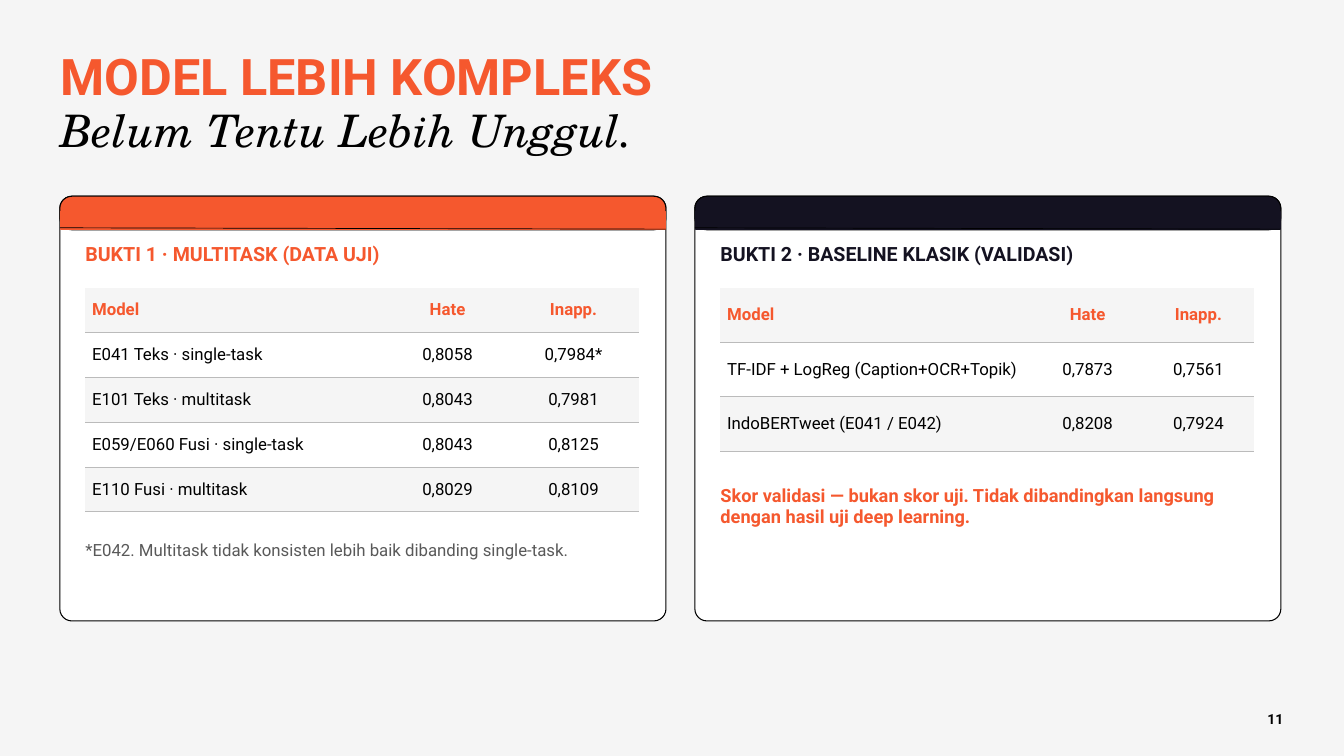
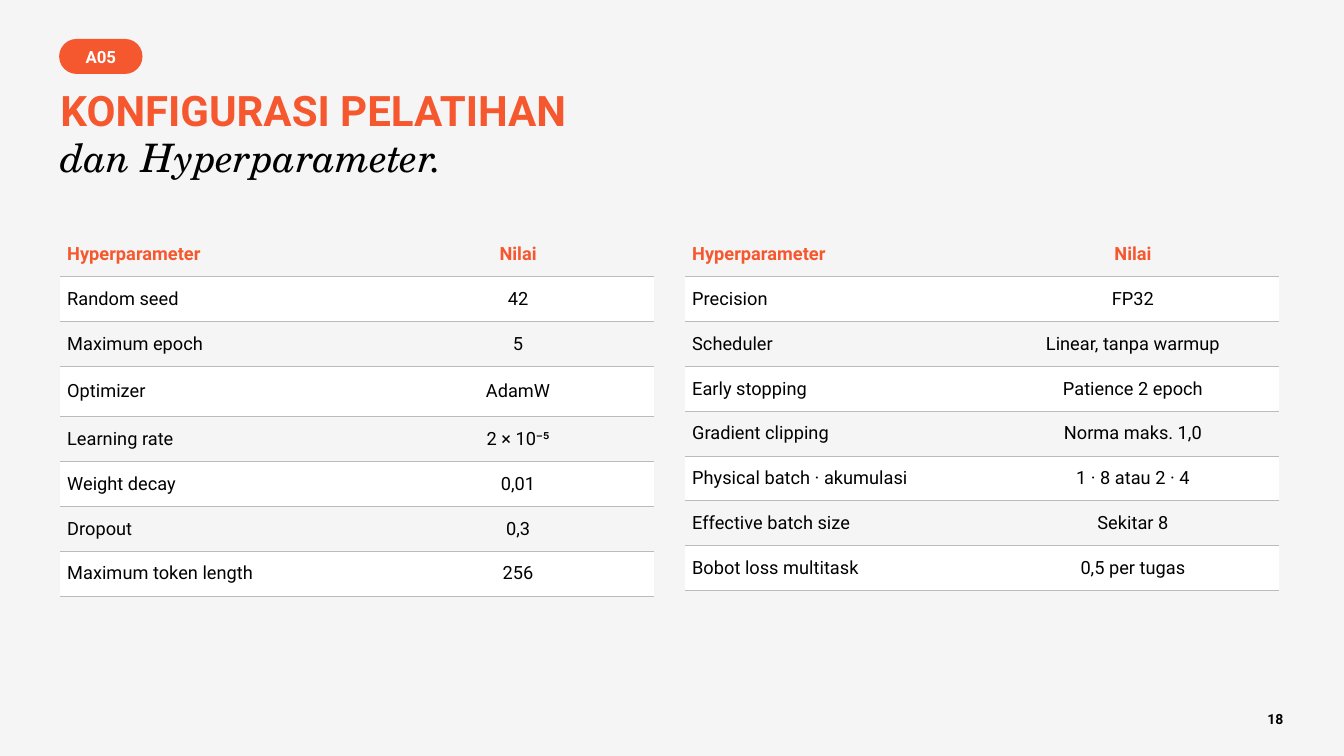
from lxml import etree
from pptx import Presentation
from pptx.dml.color import RGBColor
from pptx.enum.shapes import MSO_CONNECTOR, MSO_SHAPE
from pptx.enum.text import MSO_ANCHOR, MSO_AUTO_SIZE, PP_ALIGN
from pptx.oxml.ns import qn
from pptx.util import Emu, Inches, Pt

LEFT, MID, RIGHT = PP_ALIGN.LEFT, PP_ALIGN.CENTER, PP_ALIGN.RIGHT
TOP, MIDDLE = MSO_ANCHOR.TOP, MSO_ANCHOR.MIDDLE
FIXED = MSO_AUTO_SIZE.NONE
ROUND, RECT = MSO_SHAPE.ROUNDED_RECTANGLE, MSO_SHAPE.RECTANGLE
LINE = MSO_CONNECTOR.STRAIGHT

HUES = {
    "page": "F5F5F5",
    "card": "FFFFFF",
    "accent": "F5582E",
    "dark": "141221",
    "ink": "000000",
    "note": "595959",
    "rule": "BBBBBB",
}
SANS, SERIF = "Roboto", "TeX Gyre Schola"
COLS, ROWS = 20, 11.25
EDGE = 0.9
ROW = 2 / 3


def hue(name):
    return RGBColor.from_string(HUES[name])


class Deck:
    def __init__(self):
        self.show = Presentation()
        self.show.slide_width = Inches(COLS)
        self.show.slide_height = Inches(ROWS)
        self.unit = self.show.slide_width / COLS
        back = self.show.slide_master.background.fill
        back.solid()
        back.fore_color.rgb = hue("page")
        self.slide = None

    def grid(self, *spans):
        return [Emu(round(span * self.unit)) for span in spans]

    def page(self, number):
        self.slide = self.show.slides.add_slide(self.show.slide_layouts[5])
        self.text((17.85, 10.58, 1.25, 0.34), number, 15, "ink", True, RIGHT)

    def label(self, para, words, size, color, bold=False, align=LEFT,
              lead=1.2, font=SANS, slant=False):
        para.alignment = align
        para.line_spacing = Pt(round(size * lead, 1))
        run = para.add_run()
        run.text = words
        face = run.font
        face.name, face.size = font, Pt(size)
        face.bold, face.italic = bold, slant
        face.color.rgb = hue(color)

    def frame(self, shape, anchor=TOP):
        frame = shape.text_frame
        frame.word_wrap = True
        frame.auto_size = FIXED
        frame.vertical_anchor = anchor
        frame.margin_left = frame.margin_right = 0
        frame.margin_top = frame.margin_bottom = 0
        return frame

    def title(self, top, height, head, tail, size, small):
        shape = self.slide.shapes.title
        shape.left, shape.top, shape.width, shape.height = self.grid(
            EDGE, top, 18.15, height)
        frame = self.frame(shape)
        self.label(frame.paragraphs[0], head, size, "accent", True, lead=1.14)
        self.label(frame.add_paragraph(), tail, small, "ink", lead=1.14,
                   font=SERIF, slant=True)

    def text(self, box, words, size, color, bold=False, align=LEFT):
        shape = self.slide.shapes.add_textbox(*self.grid(*box))
        self.label(self.frame(shape).paragraphs[0], words, size, color,
                   bold, align)

    def block(self, kind, box, fill, edge, width, curve=0):
        shape = self.slide.shapes.add_shape(kind, *self.grid(*box))
        shape.shadow.inherit = False
        shape.fill.solid()
        shape.fill.fore_color.rgb = hue(fill)
        shape.line.color.rgb = hue(edge)
        shape.line.width = Pt(width)
        if curve:
            shape.adjustments[0] = curve / min(box[2:])
        return shape

    def badge(self, box, words):
        shape = self.block(ROUND, box, "accent", "accent", 1.5, box[3] / 2)
        self.label(self.frame(shape, MIDDLE).paragraphs[0], words, 18,
                   "card", True, MID)

    def rule(self, left, top, right, base):
        line = self.slide.shapes.add_connector(
            LINE, *self.grid(left, top, right, base))
        line.line.color.rgb = hue("ink")
        line.line.width = Pt(0.75)
        etree.SubElement(line._element.spPr, qn("a:effectLst"))

    def card(self, left, width, color, head):
        top = 2.92
        self.block(ROUND, (left, top, width, 6.32), "card", "ink", 1.13, 0.18)
        self.block(ROUND, (left, top, width, 0.5), color, "ink", 1.13, 0.18)
        self.block(RECT, (left + 0.01, 3.15, width - 0.02, 0.26),
                   color, color, 1.5)
        self.rule(left, 3.39, left + width, 3.41)
        self.text((left + 0.38, 3.6, width - 0.77, 0.45), head, 21, color, True)

    def border(self, cell, first):
        props = cell._tc.get_or_add_tcPr()
        for side in "LRTB":
            line = etree.SubElement(props, qn("a:ln" + side))
            if side == "B" or side == "T" and not first:
                line.set("w", str(Pt(0.5)))
                fill = etree.SubElement(line, qn("a:solidFill"))
                tint = etree.SubElement(fill, qn("a:srgbClr"))
                tint.set("val", HUES["rule"])
            else:
                line.set("w", "0")
                etree.SubElement(line, qn("a:noFill"))

    def table(self, left, top, cols, data, size, step=ROW, tall=None):
        highs = [step] * len(data)
        for row, high in (tall or {}).items():
            highs[row] = high
        table = self.slide.shapes.add_table(
            len(data), len(cols),
            *self.grid(left, top, sum(cols), sum(highs))).table
        table.first_row = table.horz_banding = False
        for col, width in zip(table.columns, self.grid(*cols)):
            col.width = width
        for row, high in zip(table.rows, self.grid(*highs)):
            row.height = high
        for r, line in enumerate(data):
            for c, words in enumerate(line):
                cell = table.cell(r, c)
                self.border(cell, r == 0)
                cell.fill.solid()
                cell.fill.fore_color.rgb = hue("card" if r % 2 else "page")
                cell.vertical_anchor = MIDDLE
                cell.margin_left = cell.margin_right = Inches(0.1)
                cell.margin_top = cell.margin_bottom = Inches(0.1)
                self.label(cell.text_frame.paragraphs[0], words, size,
                           "ink" if r else "accent", r == 0,
                           MID if c else LEFT)


def proof(deck):
    deck.page("11")
    deck.title(0.71, 1.81, "MODEL LEBIH KOMPLEKS",
               "Belum Tentu Lebih Unggul.", 54, 48)
    head = ("Model", "Hate", "Inapp.")

    deck.card(0.89, 9.02, "accent", "BUKTI 1 · MULTITASK (DATA UJI)")
    deck.table(1.27, 4.28, (4.49, 1.8, 1.95), [
        head,
        ("E041 Teks · single-task", "0,8058", "0,7984*"),
        ("E101 Teks · multitask", "0,8043", "0,7981"),
        ("E059/E060 Fusi · single-task", "0,8043", "0,8125"),
        ("E110 Fusi · multitask", "0,8029", "0,8109"),
    ], 18)
    deck.text((1.27, 8.03, 8.1, 1.05),
              "*E042. Multitask tidak konsisten lebih baik dibanding "
              "single-task.", 18, "note")

    deck.card(10.34, 8.72, "dark", "BUKTI 2 · BASELINE KLASIK (VALIDASI)")
    deck.table(10.72, 4.28, (4.64, 1.65, 1.65), [
        head,
        ("TF-IDF + LogReg (Caption+OCR+Topik)", "0,7873", "0,7561"),
        ("IndoBERTweet (E041 / E042)", "0,8208", "0,7924"),
    ], 18, 0.81)
    deck.text((10.72, 7.2, 7.95, 1.35),
              "Skor validasi — bukan skor uji. Tidak dibandingkan langsung "
              "dengan hasil uji deep learning.", 19.5, "accent", True)


def setup(deck):
    deck.page("18")
    deck.badge((0.89, 0.59, 1.22, 0.5), "A05")
    deck.title(1.3, 1.55, "KONFIGURASI PELATIHAN",
               "dan Hyperparameter.", 45, 42)
    head = ("Hyperparameter", "Nilai")
    deck.table(EDGE, 3.45, (4.79, 4.04), [
        head,
        ("Random seed", "42"),
        ("Maximum epoch", "5"),
        ("Optimizer", "AdamW"),
        ("Learning rate", "2 × 10⁻⁵"),
        ("Weight decay", "0,01"),
        ("Dropout", "0,3"),
        ("Maximum token length", "256"),
    ], 19.5, tall={3: 0.75})
    deck.table(10.2, 3.45, (4.49, 4.34), [
        head,
        ("Precision", "FP32"),
        ("Scheduler", "Linear, tanpa warmup"),
        ("Early stopping", "Patience 2 epoch"),
        ("Gradient clipping", "Norma maks. 1,0"),
        ("Physical batch · akumulasi", "1 · 8 atau 2 · 4"),
        ("Effective batch size", "Sekitar 8"),
        ("Bobot loss multitask", "0,5 per tugas"),
    ], 19.5)


def main():
    deck = Deck()
    proof(deck)
    setup(deck)
    deck.show.save("out.pptx")


if __name__ == "__main__":
    main()
